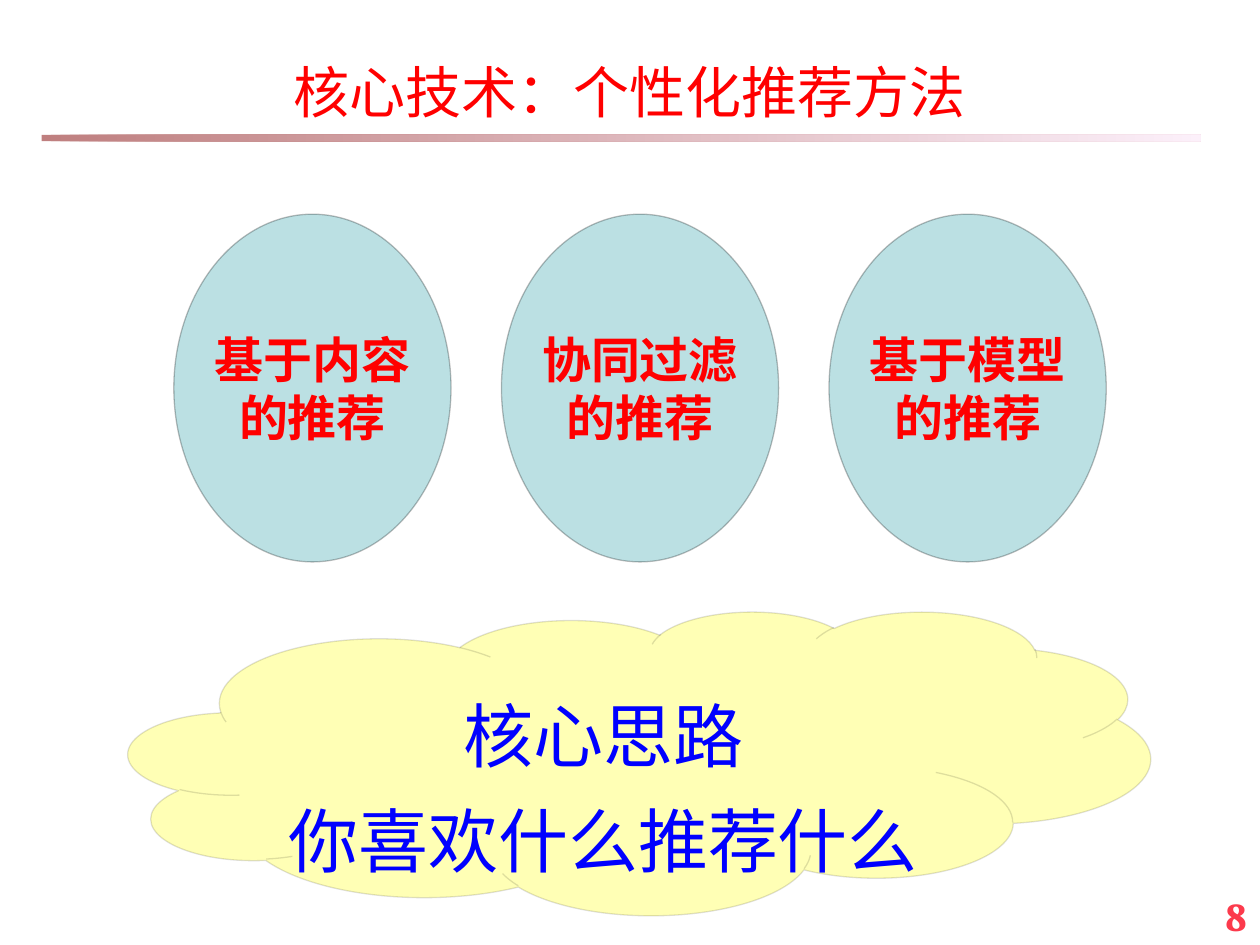
from dataclasses import dataclass

from lxml.etree import SubElement
from pptx import Presentation
from pptx.dml.color import RGBColor
from pptx.enum.shapes import MSO_SHAPE
from pptx.enum.text import MSO_ANCHOR, PP_ALIGN
from pptx.oxml.ns import qn
from pptx.util import Inches, Pt


@dataclass(frozen=True)
class Theme:
    """Colours, fonts and type sizes of the slide."""
    red: str = "FF0000"
    blue: str = "0000FF"
    black: str = "000000"
    ellipse_fill: str = "BBE0E3"
    cloud_fill: str = "FFFF00"
    rule_start: str = "800000"
    rule_end: str = "FAE2F6"
    number: str = "FC3A4C"
    body_font: str = "Noto Sans CJK SC"
    number_font: str = "Vollkorn"
    title_size: float = 32
    method_size: float = 28
    idea_size: float = 40
    number_size: float = 24


THEME = Theme()


def set_alpha(parent, percent):
    """Make every colour below an element partly transparent."""
    for color in parent.iter(qn("a:srgbClr")):
        SubElement(color, qn("a:alpha"), val=str(percent * 1000))


def write_text(shape, lines, size, color, font=THEME.body_font, bold=False,
               align=PP_ALIGN.CENTER, leading=None, wrap=False):
    """Write styled paragraphs, centred vertically, into a shape."""
    frame = shape.text_frame
    frame.text = "\n".join(lines)
    frame.word_wrap = wrap
    frame.vertical_anchor = MSO_ANCHOR.MIDDLE
    for para in frame.paragraphs:
        para.alignment = align
        if leading:
            para.line_spacing = Pt(leading)
        for span in para.runs:
            span.font.size = Pt(size)
            span.font.bold = bold
            span.font.color.rgb = RGBColor.from_string(color)
            span.font.name = font
            SubElement(span.font._element, qn("a:ea"), typeface=font)


def add_text(page, left, top, width, height, lines, size, color, **style):
    """Add a wrapping text box."""
    box = page.shapes.add_textbox(Inches(left), Inches(top), Inches(width), Inches(height))
    write_text(box, lines, size, color, wrap=True, **style)


def add_outlined(page, kind, left, top, width, height, fill, line_alpha):
    """Add a filled preset shape with a faint black outline."""
    shape = page.shapes.add_shape(kind, Inches(left), Inches(top), Inches(width), Inches(height))
    shape.shadow.inherit = False
    shape.fill.solid()
    shape.fill.fore_color.rgb = RGBColor.from_string(fill)
    shape.line.color.rgb = RGBColor.from_string(THEME.black)
    shape.line.width = Pt(0.75)
    set_alpha(shape._element.spPr.find(qn("a:ln")), line_alpha)
    return shape


def add_title_rule(page):
    """Add the fading bar under the title."""
    rule = page.shapes.add_shape(MSO_SHAPE.RECTANGLE, Inches(0.33), Inches(1.07),
                                 Inches(9.2), Inches(0.05))
    rule.shadow.inherit = False
    rule.line.fill.background()
    rule.fill.gradient()
    rule.fill.gradient_angle = 0
    for stop, color in zip(rule.fill.gradient_stops, (THEME.rule_start, THEME.rule_end)):
        stop.color.rgb = RGBColor.from_string(color)
    set_alpha(rule._element.spPr, 50)


def add_methods(page):
    """Add the row of recommendation methods."""
    for index, name in enumerate(("基于内容", "协同过滤", "基于模型")):
        ellipse = add_outlined(page, MSO_SHAPE.OVAL, 1.38 + 2.6 * index, 1.7, 2.2, 2.76,
                               THEME.ellipse_fill, 25)
        write_text(ellipse, (name, "的推荐"), THEME.method_size, THEME.red,
                   bold=True, leading=33.6)


def add_idea(page):
    """Add the cloud with the core idea."""
    cloud = add_outlined(page, MSO_SHAPE.CLOUD, 1.02, 4.85, 8.11, 2.41, THEME.cloud_fill, 13)
    set_alpha(cloud._element.spPr.find(qn("a:solidFill")), 29)
    write_text(cloud, ("核心思路", "你喜欢什么推荐什么"), THEME.idea_size, THEME.blue, leading=60)
    cloud.text_frame.margin_top = Inches(0.37)


def main():
    """Build and save the slide."""
    deck = Presentation()
    deck.slide_width, deck.slide_height = Inches(10), Inches(7.5)
    page = deck.slides.add_slide(deck.slide_layouts[6])
    add_title_rule(page)
    add_text(page, 7.67, 7.04, 2.33, 0.44, ("8",), THEME.number_size, THEME.number,
             font=THEME.number_font, bold=True, align=PP_ALIGN.RIGHT)
    add_text(page, 0, 0.08, 10, 1.02, ("核心技术：个性化推荐方法",), THEME.title_size,
             THEME.red, leading=57.6)
    add_methods(page)
    add_idea(page)
    deck.save("out.pptx")


if __name__ == "__main__":
    main()
